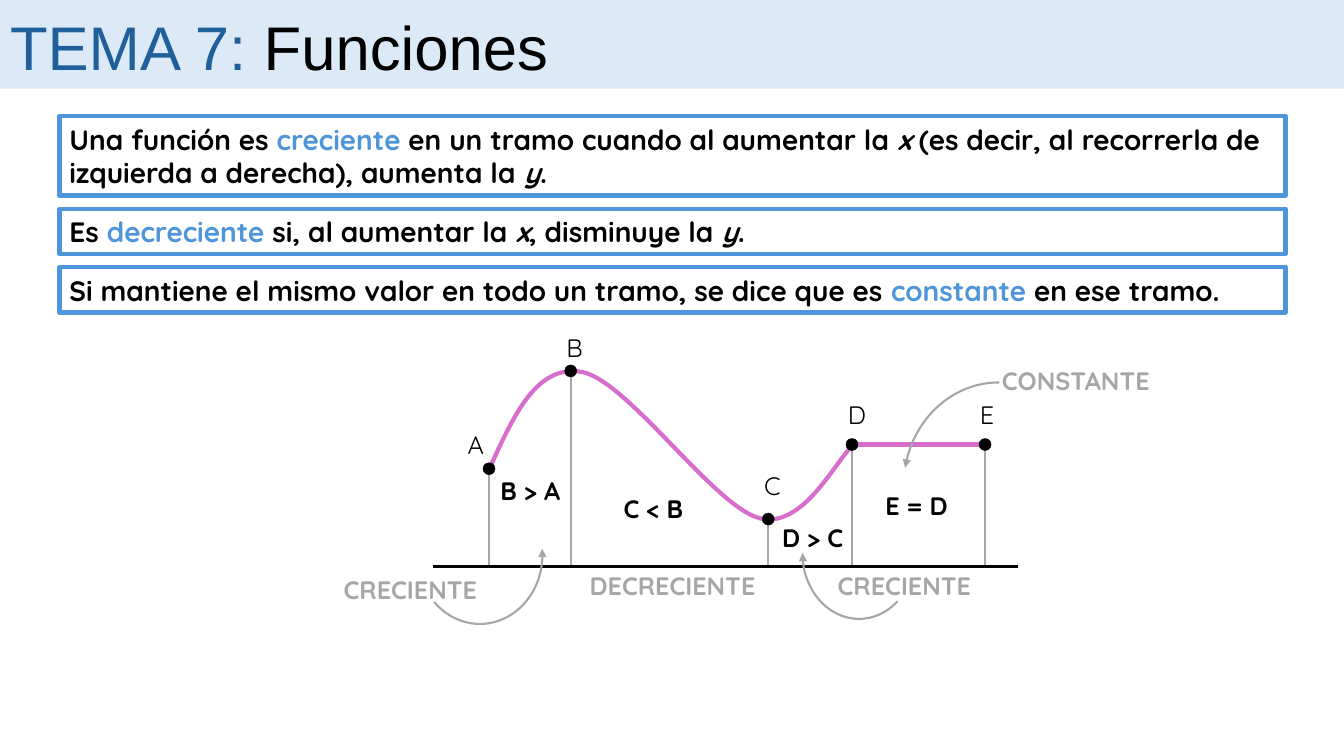
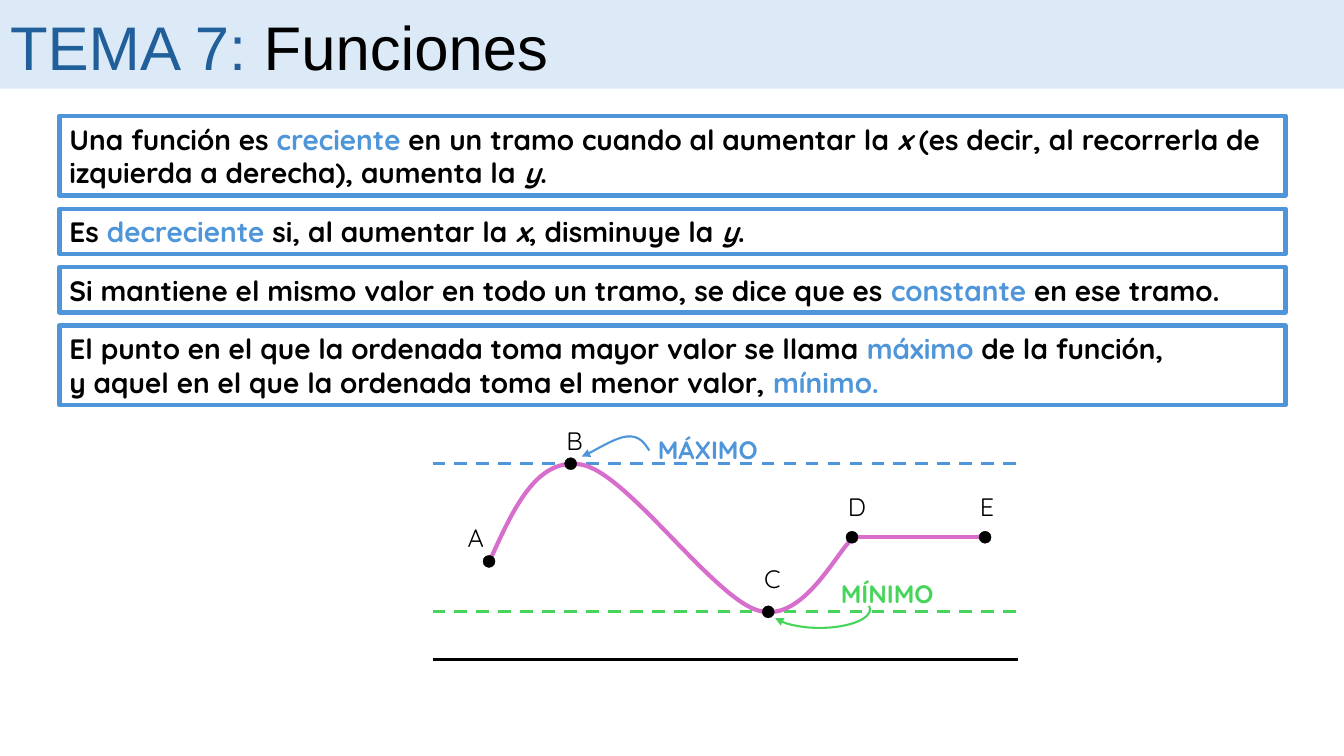
from lxml.etree import SubElement
from pptx import Presentation
from pptx.dml.color import RGBColor
from pptx.enum.dml import MSO_LINE
from pptx.enum.shapes import MSO_CONNECTOR, MSO_SHAPE
from pptx.enum.text import MSO_ANCHOR, MSO_AUTO_SIZE, PP_ALIGN
from pptx.oxml.ns import qn
from pptx.util import Inches, Pt

BLACK = RGBColor(0x00, 0x00, 0x00)
GRAY = RGBColor(0xA6, 0xA6, 0xA6)
BLUE = RGBColor(0x4E, 0x95, 0xD9)
DARK_BLUE = RGBColor(0x21, 0x5F, 0x9A)
PALE_BLUE = RGBColor(0xDC, 0xEA, 0xF7)
PINK = RGBColor(0xD8, 0x6E, 0xCC)
GREEN = RGBColor(0x47, 0xD4, 0x5A)

TITLE_FONT, BODY_FONT = "Arial", "Quicksand"
SLIDE_WIDTH, SLIDE_HEIGHT = 13.33, 7.5
TITLE_RUNS = [("TEMA 7: ", DARK_BLUE), ("Funciones", BLACK)]

PLAIN, KEY, ITALIC = "plain", "key", "italic"
GROWING = [[
    ("Una función es ", PLAIN), ("creciente", KEY),
    (" en un tramo cuando al aumentar la ", PLAIN), ("x ", ITALIC),
    ("(es decir, al recorrerla de izquierda a derecha), aumenta la ", PLAIN),
    ("y", ITALIC), (".", PLAIN),
]]
FALLING = [[
    ("Es ", PLAIN), ("decreciente", KEY), (" si, al aumentar la ", PLAIN),
    ("x", ITALIC), (", disminuye la ", PLAIN), ("y", ITALIC), (".", PLAIN),
]]
CONSTANT = [[
    ("Si mantiene el mismo valor en todo un tramo, se dice que es ", PLAIN),
    ("constante", KEY), (" en ese tramo.", PLAIN),
]]
EXTREMES = [
    [("El punto en el que la ordenada toma mayor valor se llama ", PLAIN),
     ("máximo", KEY), (" de la función,", PLAIN)],
    [("y aquel en el que la ordenada toma el menor valor, ", PLAIN),
     ("mínimo.", KEY)],
]
ONE_LINE, TWO_LINES = 0.45, 0.79
DEFINITIONS = [(GROWING, TWO_LINES), (FALLING, ONE_LINE), (CONSTANT, ONE_LINE)]
EXTREMES_DEFINITIONS = DEFINITIONS + [(EXTREMES, TWO_LINES)]
BOX_LEFT, BOX_TOP, BOX_WIDTH, BOX_GAP = 0.59, 1.15, 12.16, 0.13

POINTS = {
    "A": (4.85, 4.65), "B": (5.66, 3.68), "C": (7.62, 5.15),
    "D": (8.45, 4.41), "E": (9.77, 4.41),
}
LABEL_OFFSETS = {
    "A": (-0.13, -0.44), "B": (0.04, -0.43), "C": (0.04, -0.53),
    "D": (0.05, -0.5), "E": (0.02, -0.5),
}
CURVE = [
    (4.85, 4.66), (5.09, 4.13), (5.32, 3.61), (5.77, 3.69), (6.22, 3.77),
    (7.08, 5.02), (7.53, 5.14), (7.98, 5.26), (8.31, 4.52), (8.48, 4.4),
]
AXIS_LEFT, AXIS_RIGHT, AXIS_Y = 4.29, 10.1, 5.62
DOT_SIZE = 0.12
EXTREMES_SHIFT = 0.92

COMPARISONS = [
    ("B > A", 5.26, 4.67), ("C < B", 6.48, 4.84),
    ("D > C", 8.06, 5.13), ("E = D", 9.09, 4.82),
]
STRETCH_NAMES = [
    ("DECRECIENTE", 6.67, 5.61), ("CRECIENTE", 4.07, 5.65),
    ("CRECIENTE", 8.97, 5.61), ("CONSTANTE", 10.67, 3.58),
]
STRETCH_ARROWS = [
    ((4.14, 4.82, 1.24, 1.37), (354.4, 134.2), 0, "headEnd"),
    ((7.96, 4.84, 1.12, 1.3), (51.1, 180.4), 0, "tailEnd"),
    ((8.97, 3.79, 1.79, 1.95), (354.4, 79.2), 193.6, "headEnd"),
]
EXTREME_LINES = [("C", GREEN), ("B", BLUE)]
EXTREME_NAMES = [("MÁXIMO", 7.02, 4.26, BLUE), ("MÍNIMO", 8.8, 5.69, GREEN)]
MAXIMUM_ARROW = [
    (6.44, 4.47), (6.39, 4.39), (6.34, 4.32), (6.22, 4.33),
    (6.11, 4.34), (5.85, 4.5), (5.77, 4.53),
]
MINIMUM_ARROW = ((7.63, 5.86, 1, 0.37), (355.9, 168.8), 0, "tailEnd")


def inches(values):
    return [Inches(value) for value in values]


def add_run(paragraph, text, size, color, font=BODY_FONT, bold=False, italic=False):
    run = paragraph.add_run()
    run.text = text
    run.font.name, run.font.size = font, Pt(size)
    run.font.bold, run.font.italic = bold, italic
    run.font.color.rgb = color


def set_line(shape, color, width, arrow_end=None):
    shape.line.color.rgb = color
    shape.line.width = Pt(width)
    if arrow_end:
        SubElement(shape.line._get_or_add_ln(), qn(f"a:{arrow_end}"), type="triangle")


def add_line(slide, start, end, color, width, dashed=False):
    line = slide.shapes.add_connector(MSO_CONNECTOR.STRAIGHT, *inches(start + end))
    set_line(line, color, width)
    if dashed:
        line.line.dash_style = MSO_LINE.DASH
    SubElement(line.element.spPr, qn("a:effectLst"))


def add_curve(slide, points, color, width, arrow_end=None):
    start, *controls = [inches(point) for point in points]
    builder = slide.shapes.build_freeform(*start)
    builder.add_line_segments(controls, close=False)
    curve = builder.convert_to_shape()
    outline = curve.element.find(".//" + qn("a:path"))
    segments = outline.findall(qn("a:lnTo"))
    for first in range(0, len(segments), 3):
        bezier = SubElement(outline, qn("a:cubicBezTo"))
        for segment in segments[first:first + 3]:
            bezier.append(segment[0])
            outline.remove(segment)
    curve.shadow.inherit = False
    curve.fill.background()
    set_line(curve, color, width, arrow_end)


def add_arc(slide, frame, angles, rotation, arrow_end, color):
    arc = slide.shapes.add_shape(MSO_SHAPE.ARC, *inches(frame))
    for index, angle in enumerate(angles):
        arc.adjustments[index] = angle * 0.6
    arc.rotation = rotation
    arc.shadow.inherit = False
    arc.fill.background()
    set_line(arc, color, 1.5, arrow_end)


def add_label(slide, text, center, top, width, color, bold=True):
    box = slide.shapes.add_textbox(*inches((center - width / 2, top, width, 0.4)))
    frame = box.text_frame
    frame.word_wrap = True
    frame.margin_left = frame.margin_right = 0
    paragraph = frame.paragraphs[0]
    paragraph.alignment = PP_ALIGN.CENTER
    add_run(paragraph, text, 18, color, bold=bold)


def add_definitions(slide, definitions):
    top = BOX_TOP
    for paragraphs, height in definitions:
        box = slide.shapes.add_shape(
            MSO_SHAPE.RECTANGLE, *inches((BOX_LEFT, top, BOX_WIDTH, height)))
        box.shadow.inherit = False
        box.fill.background()
        set_line(box, BLUE, 3)
        frame = box.text_frame
        frame.word_wrap = True
        frame.vertical_anchor = MSO_ANCHOR.MIDDLE
        for index, runs in enumerate(paragraphs):
            paragraph = frame.add_paragraph() if index else frame.paragraphs[0]
            paragraph.alignment = PP_ALIGN.LEFT
            for text, style in runs:
                add_run(paragraph, text, 20, BLUE if style == KEY else BLACK,
                        bold=True, italic=style == ITALIC)
        top += height + BOX_GAP


def add_function(slide, shift=0):
    def moved(point):
        return point[0], point[1] + shift

    add_line(slide, moved(POINTS["D"]), moved(POINTS["E"]), PINK, 3)
    add_curve(slide, [moved(point) for point in CURVE], PINK, 3)
    add_line(slide, moved((AXIS_LEFT, AXIS_Y)), moved((AXIS_RIGHT, AXIS_Y)), BLACK, 2.25)
    for name, point in POINTS.items():
        x, y = moved(point)
        dot = slide.shapes.add_shape(MSO_SHAPE.OVAL, *inches(
            (x - DOT_SIZE / 2, y - DOT_SIZE / 2, DOT_SIZE, DOT_SIZE)))
        dot.shadow.inherit = False
        dot.fill.solid()
        dot.fill.fore_color.rgb = BLACK
        set_line(dot, BLACK, 0.25)
        label_x, label_y = LABEL_OFFSETS[name]
        add_label(slide, name, x + label_x, y + label_y, 0.28, BLACK, bold=False)


def style_layout(layout):
    title = layout.placeholders[0]
    title.left, title.top, title.width, title.height = inches((0, 0, SLIDE_WIDTH, 0.88))
    title.fill.solid()
    title.fill.fore_color.rgb = PALE_BLUE
    frame = title.text_frame
    frame.vertical_anchor = MSO_ANCHOR.TOP
    frame.margin_top, frame.margin_bottom = inches((0.09, 0))
    frame.auto_size = MSO_AUTO_SIZE.NONE


def add_slide(presentation, layout, definitions):
    slide = presentation.slides.add_slide(layout)
    paragraph = slide.shapes.title.text_frame.paragraphs[0]
    paragraph.alignment = PP_ALIGN.LEFT
    for text, color in TITLE_RUNS:
        add_run(paragraph, text, 44, color, TITLE_FONT)
    add_definitions(slide, definitions)
    return slide


def add_stretches_slide(presentation, layout):
    slide = add_slide(presentation, layout, DEFINITIONS)
    for x, y in POINTS.values():
        add_line(slide, (x, y), (x, AXIS_Y), GRAY, 1.5)
    add_function(slide)
    for text, center, top in STRETCH_NAMES:
        add_label(slide, text, center, top, 1.88, GRAY)
    for text, center, top in COMPARISONS:
        add_label(slide, text, center, top, 0.88, BLACK)
    for arrow in STRETCH_ARROWS:
        add_arc(slide, *arrow, GRAY)


def add_extremes_slide(presentation, layout):
    slide = add_slide(presentation, layout, EXTREMES_DEFINITIONS)
    for name, color in EXTREME_LINES:
        y = POINTS[name][1] + EXTREMES_SHIFT
        add_line(slide, (AXIS_LEFT, y), (AXIS_RIGHT, y), color, 2.25, dashed=True)
    for text, center, top, color in EXTREME_NAMES:
        add_label(slide, text, center, top, 1.34, color)
    add_curve(slide, MAXIMUM_ARROW, BLUE, 1.5, "tailEnd")
    add_arc(slide, *MINIMUM_ARROW, GREEN)
    add_function(slide, EXTREMES_SHIFT)


def main():
    presentation = Presentation()
    presentation.slide_width = Inches(SLIDE_WIDTH)
    presentation.slide_height = Inches(SLIDE_HEIGHT)
    layout = presentation.slide_layouts.get_by_name("Title Only")
    style_layout(layout)
    add_stretches_slide(presentation, layout)
    add_extremes_slide(presentation, layout)
    presentation.save("out.pptx")


if __name__ == "__main__":
    main()
